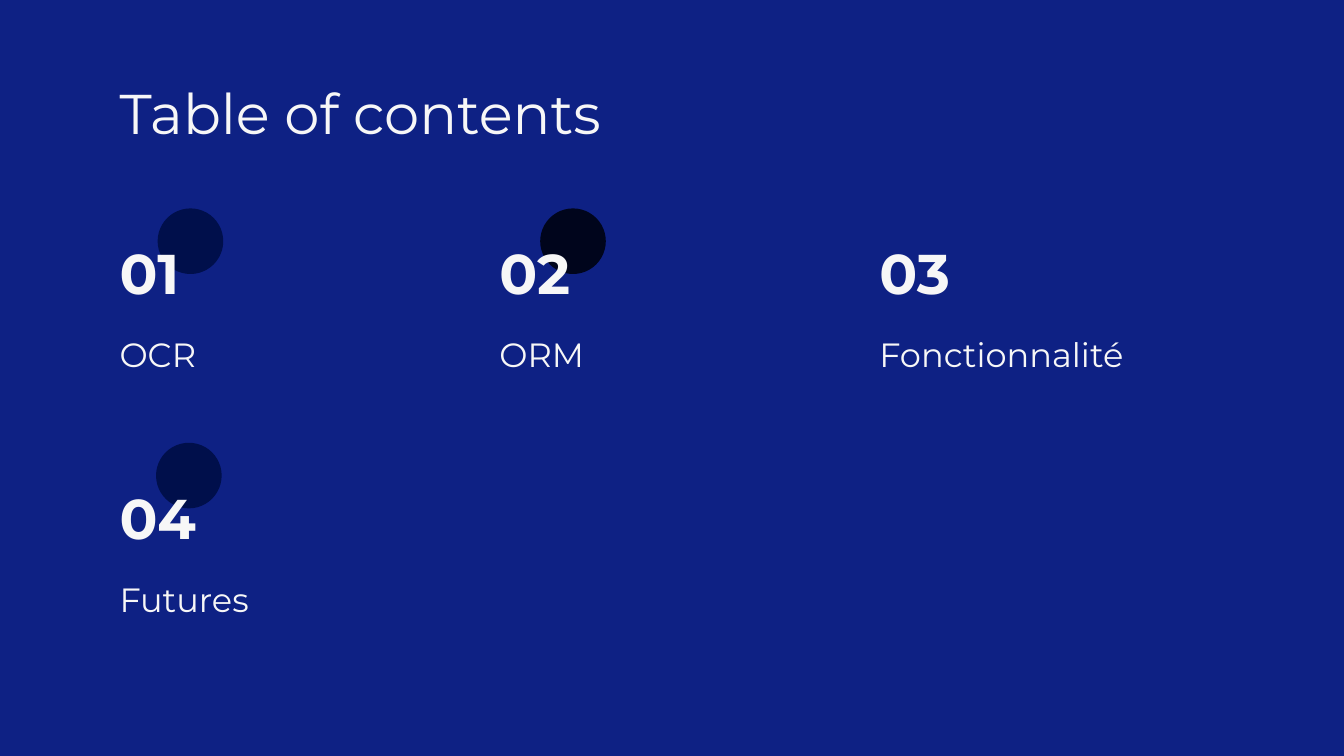
from pptx import Presentation
from pptx.dml.color import RGBColor
from pptx.enum.shapes import MSO_SHAPE
from pptx.enum.text import MSO_ANCHOR
from pptx.util import Cm, Pt

BLUE = RGBColor(0x0E, 0x21, 0x84)
NAVY = RGBColor(0x00, 0x0F, 0x4B)
INK = RGBColor(0x00, 0x05, 0x1C)
WHITE = RGBColor(0xF7, 0xF7, 0xF7)
FONT = "Montserrat"

# Content: heading, circle colour, circle offset from the number box (cm)
TITLE = "Table of contents"
SECTIONS = [
    ("OCR", NAVY, (0.97, -0.58)),
    ("ORM", INK, (1.02, -0.58)),
    ("Fonctionnalité", None, None),
    ("Futures", NAVY, (0.94, -0.79)),
]

# Grid in cm
COLUMNS = 3
LEFT, TOP = 2.01, 4.52
COLUMN_PITCH, ROW_PITCH = 7.18, 4.64
HEADING_DROP = 1.54
CIRCLE_SIZE = 1.24


def cell_origin(index):
    row, column = divmod(index, COLUMNS)
    return LEFT + column * COLUMN_PITCH, TOP + row * ROW_PITCH


def add_text(slide, text, left, top, width, height, size, bold=False,
             anchor=MSO_ANCHOR.TOP):
    box = slide.shapes.add_textbox(Cm(left), Cm(top), Cm(width), Cm(height))
    frame = box.text_frame
    frame.word_wrap = True
    frame.vertical_anchor = anchor
    frame.margin_left = frame.margin_right = Cm(0.25)
    frame.margin_top = frame.margin_bottom = Cm(0.25)
    run = frame.paragraphs[0].add_run()
    run.text = text
    run.font.name = FONT
    run.font.size = Pt(size)
    run.font.bold = bold
    run.font.color.rgb = WHITE


def add_circle(slide, left, top, color):
    circle = slide.shapes.add_shape(MSO_SHAPE.OVAL, Cm(left), Cm(top),
                                    Cm(CIRCLE_SIZE), Cm(CIRCLE_SIZE))
    circle.shadow.inherit = False
    circle.fill.solid()
    circle.fill.fore_color.rgb = color
    circle.line.fill.background()


def main():
    presentation = Presentation()
    presentation.slide_width = Cm(25.4)
    presentation.slide_height = Cm(14.29)
    slide = presentation.slides.add_slide(presentation.slide_layouts[6])
    slide.background.fill.solid()
    slide.background.fill.fore_color.rgb = BLUE

    # Circles behind the numbers
    for index, (_, color, offset) in enumerate(SECTIONS):
        if color is not None:
            left, top = cell_origin(index)
            add_circle(slide, left + offset[0], top + offset[1], color)

    # Title
    add_text(slide, TITLE, LEFT, 1.24, 21.4, 1.6, 30)

    # Numbers and headings
    for index, (heading, _, _) in enumerate(SECTIONS):
        left, top = cell_origin(index)
        add_text(slide, f"{index + 1:02d}", left, top, 2.03, 1.24, 30,
                 bold=True, anchor=MSO_ANCHOR.MIDDLE)
        add_text(slide, heading, left, top + HEADING_DROP, 7.04, 2.08, 18)

    presentation.save("out.pptx")


if __name__ == "__main__":
    main()
